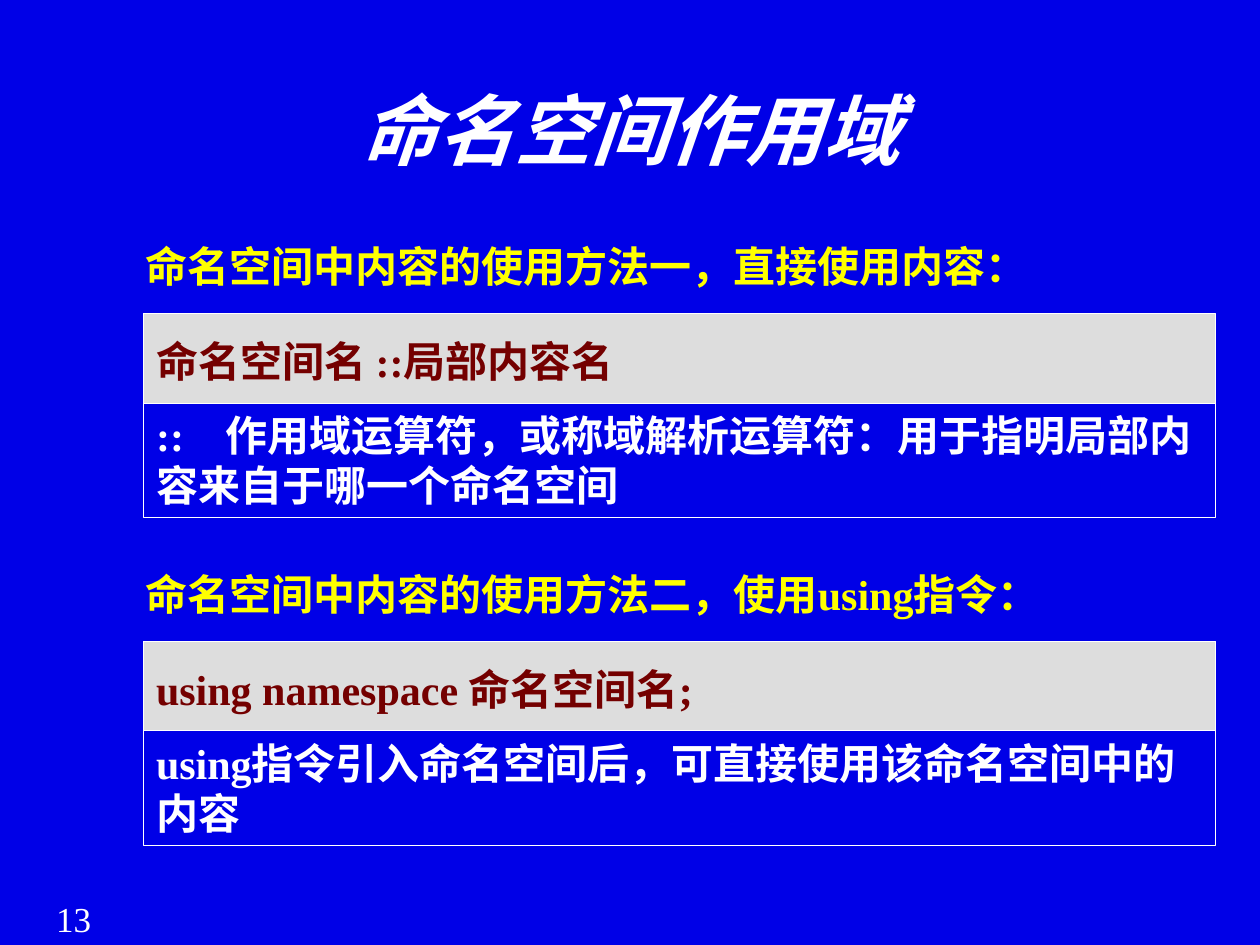
"""Build the slide on namespace scope and the two ways to use a namespace."""
import pptx
import pptx.util
import pptx.dml.color
import pptx.enum.shapes
import pptx.enum.text
from dataclasses import dataclass
from lxml import etree

Inches, Pt = pptx.util.Inches, pptx.util.Pt
Align, Anchor = pptx.enum.text.PP_ALIGN, pptx.enum.text.MSO_ANCHOR
RECT = pptx.enum.shapes.MSO_SHAPE.RECTANGLE
color = pptx.dml.color.RGBColor.from_string


@dataclass(frozen=True)
class Theme:
    font: str = "Times New Roman"
    back: str = "0000E7"
    white: str = "FFFFFF"
    head: str = "FFFF00"
    code: str = "740000"
    band: str = "DDDDDD"
    title: int = 44
    body: int = 24
    page: int = 20


theme = Theme()


def write(shape, text, size, tint, bold=True, italic=False, align=Align.LEFT,
          anchor=Anchor.TOP, wrap=True, space=1.0, tab=None):
    frame = shape.text_frame
    frame.word_wrap = wrap
    frame.vertical_anchor = anchor
    para = frame.paragraphs[0]
    para.alignment = align
    para.line_spacing = space
    if tab:
        stops = etree.SubElement(para._p.get_or_add_pPr(), pptx.oxml.ns.qn("a:tabLst"))
        etree.SubElement(stops, pptx.oxml.ns.qn("a:tab"), pos=str(tab), algn="l")
    run = para.add_run()
    run.text = text
    font = run.font
    font.name, font.size = theme.font, Pt(size)
    font.bold, font.italic = bold, italic
    font.color.rgb = color(tint)


deck = pptx.Presentation()
deck.slide_width, deck.slide_height = Inches(10), Inches(7.5)
slide = deck.slides.add_slide(deck.slide_layouts[5])
slide.background.fill.solid()
slide.background.fill.fore_color.rgb = color(theme.back)

page = slide.shapes.add_textbox(Inches(0.17), Inches(7.07), Inches(0.83), Inches(0.43))
write(page, "13", theme.page, theme.white, bold=False, align=Align.CENTER)

title = slide.shapes.title
title.left, title.top = Inches(0.59), Inches(0.6)
title.width, title.height = Inches(8.83), Inches(0.84)
write(title, "命名空间作用域", theme.title, theme.white, italic=True,
      align=Align.CENTER, anchor=Anchor.MIDDLE)

parts = [
    ("命名空间中内容的使用方法一，直接使用内容：", 7.27,
     "命名空间名 ::局部内容名",
     "::\t作用域运算符，或称域解析运算符：用于指明局部内容来自于哪一个命名空间", Inches(0.55)),
    ("命名空间中内容的使用方法二，使用using指令：", 7.36,
     "using namespace 命名空间名;",
     "using指令引入命名空间后，可直接使用该命名空间中的内容", None),
]

for row, (head, width, code, note, tab) in enumerate(parts):
    top = 1.86 + 2.6 * row
    label = slide.shapes.add_textbox(Inches(1.06), Inches(top), Inches(width), Inches(0.5))
    write(label, head, theme.body, theme.head, wrap=False)

    group = slide.shapes.add_group_shape()
    upper = group.shapes.add_shape(RECT, Inches(1.14), Inches(top + 0.63),
                                   Inches(8.51), Inches(0.71))
    lower = group.shapes.add_shape(RECT, Inches(1.14), Inches(top + 1.34),
                                   Inches(8.51), Inches(0.91))
    for box in (upper, lower):
        box.shadow.inherit = False
        box.line.color.rgb = color(theme.white)
        box.line.width = Pt(0.75)
    upper.fill.solid()
    upper.fill.fore_color.rgb = color(theme.band)
    lower.fill.background()
    write(upper, code, theme.body, theme.code, anchor=Anchor.MIDDLE, space=1.1)
    write(lower, note, theme.body, theme.white, tab=tab)

deck.save("out.pptx")
